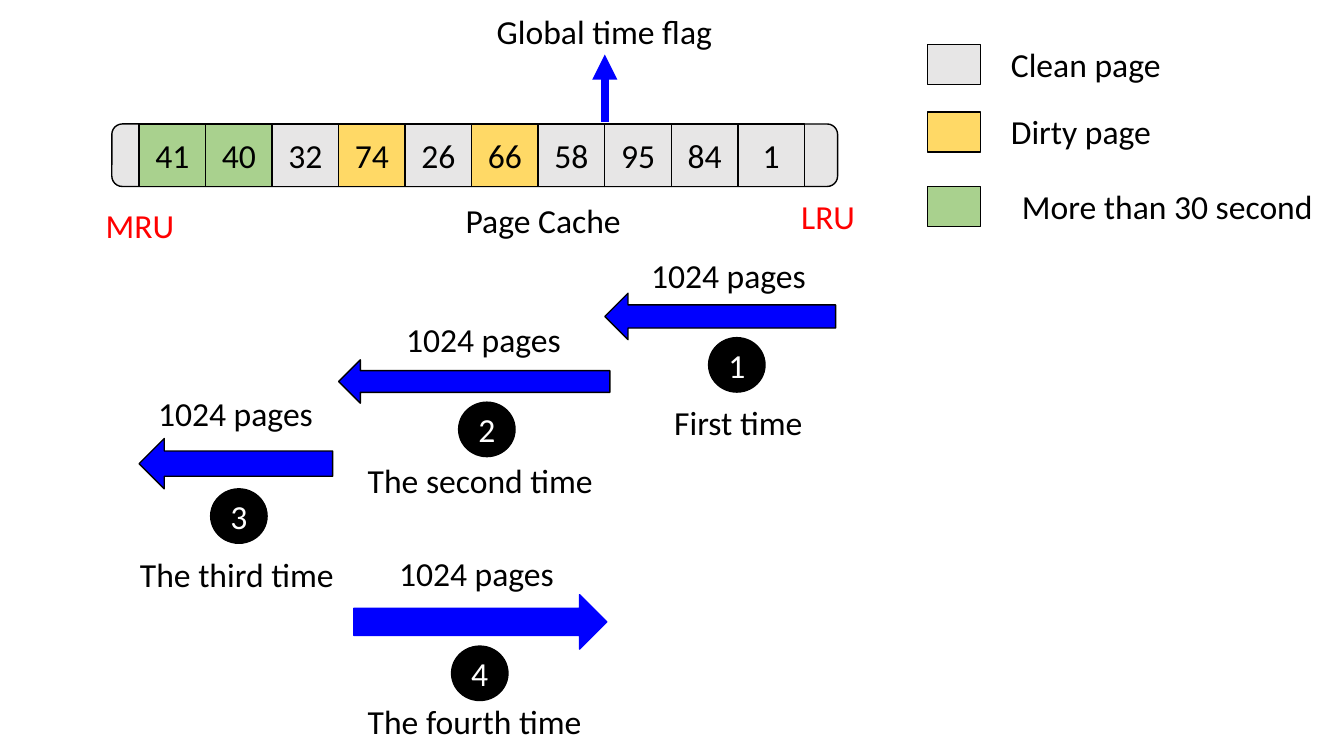
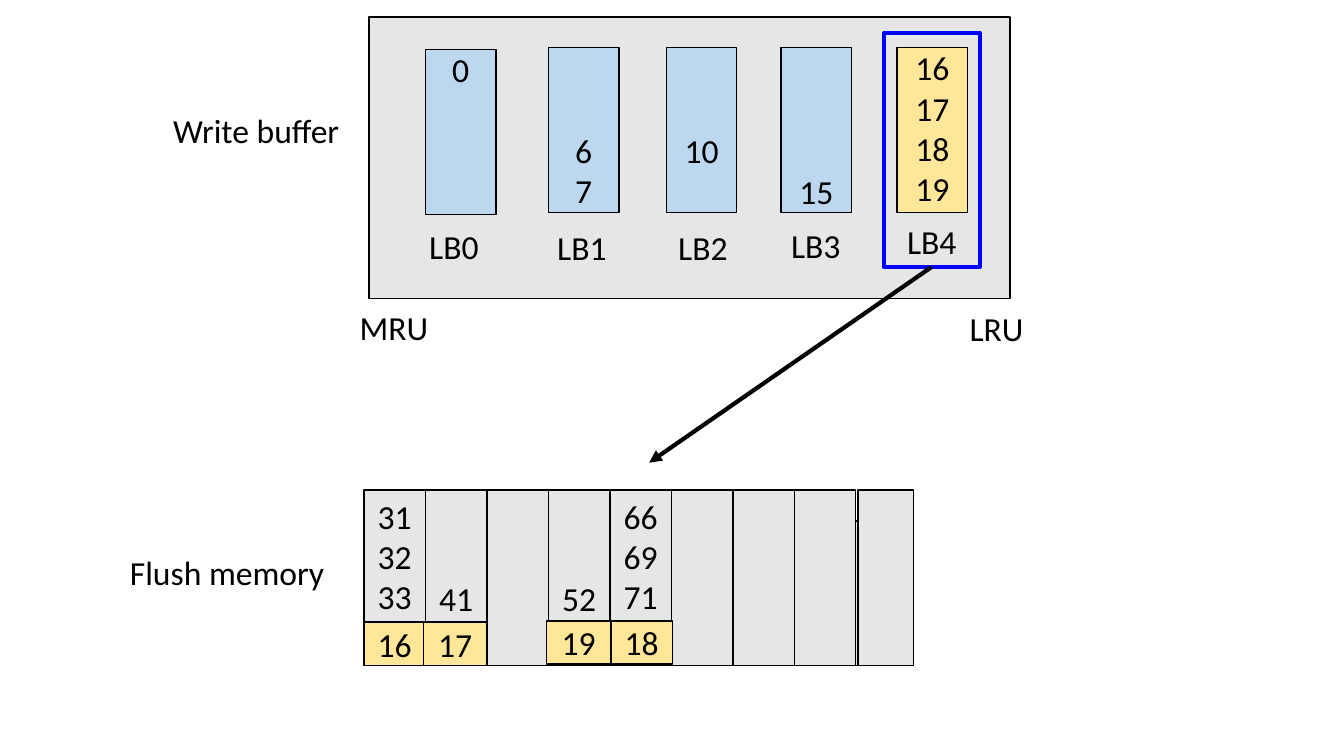
from lxml import etree
from pptx import Presentation
from pptx.dml import color
from pptx.enum import shapes, text
from pptx.oxml import ns
from pptx.util import Emu, Inches, Pt

# Shared grid: columns and rows of a tenth of an inch
UNIT = Inches(0.1)
COLUMNS, ROWS = 133.33, 75
LABEL_HEIGHT = 5
TEXT_ROW = 4.1

# Shared style
FONT, SIZE = "Calibri", Pt(24)
BLACK, WHITE, RED, BLUE = "000000", "FFFFFF", "FF0000", "0000FF"
CLEAN, DIRTY, OLD = "E7E6E6", "FFD966", "A9D18E"
BLOCK, VICTIM = "BDD7EE", "FFE699"
KIND = shapes.MSO_SHAPE


def grid(*lengths):
    return [Emu(round(length * UNIT)) for length in lengths]


def rgb(hex_value):
    return color.RGBColor.from_string(hex_value)


def write(frame, wording, ink, align):
    frame.text = wording
    frame.word_wrap = True
    for paragraph in frame.paragraphs:
        paragraph.alignment = align
        for run in paragraph.runs:
            run.font.name, run.font.size = FONT, SIZE
            run.font.color.rgb = rgb(ink)


def add_label(slide, wording, left, top, width, ink=BLACK):
    label = slide.shapes.add_textbox(*grid(left, top, width, LABEL_HEIGHT))
    write(label.text_frame, wording, ink, text.PP_ALIGN.LEFT)


def add_box(slide, box, fill, wording="", kind=KIND.RECTANGLE,
            line=BLACK, weight=1, ink=BLACK):
    shape = slide.shapes.add_shape(kind, *grid(*box))
    shape.shadow.inherit = False
    if fill:
        shape.fill.solid()
        shape.fill.fore_color.rgb = rgb(fill)
    else:
        shape.fill.background()
    shape.line.color.rgb = rgb(line)
    shape.line.width = Pt(weight)
    frame = shape.text_frame
    frame.margin_left = frame.margin_right = 0
    frame.margin_top = frame.margin_bottom = 0
    frame.vertical_anchor = text.MSO_ANCHOR.MIDDLE
    if wording:
        write(frame, wording, ink, text.PP_ALIGN.CENTER)
    return shape


def add_stack(slide, box, fill, pages, first_row, padding=0):
    """A tall block whose page numbers start at the given text row."""
    frame = add_box(slide, box, fill, pages).text_frame
    frame.vertical_anchor = text.MSO_ANCHOR.TOP
    frame.margin_top = grid(padding + first_row * TEXT_ROW)[0]


def add_arrow(slide, start, end, ink, weight):
    arrow = slide.shapes.add_connector(
        shapes.MSO_CONNECTOR.STRAIGHT, *grid(*start, *end))
    arrow.line.color.rgb = rgb(ink)
    arrow.line.width = Pt(weight)
    etree.SubElement(arrow.line._get_or_add_ln(), ns.qn("a:tailEnd"),
                     type="triangle")
    etree.SubElement(arrow._element.spPr, ns.qn("a:effectLst"))


def build_page_cache(slide):
    # Cache list with its numbered pages
    cell, height, first, top = 6.6, 6.2, 13.8, 12.3
    add_box(slide, (11.1, top, 72, height), CLEAN, kind=KIND.ROUNDED_RECTANGLE)
    fills = {"41": OLD, "40": OLD, "74": DIRTY, "66": DIRTY}
    for i, page in enumerate("41 40 32 74 26 66 58 95 84 1".split()):
        add_box(slide, (first + i * cell, top, cell, height),
                fills.get(page, CLEAN), page)
    add_label(slide, "Page Cache", 45.2, 19.3, 18.1)
    add_label(slide, "MRU", 9.5, 19.8, 10.9, RED)
    add_label(slide, "LRU", 78.5, 18.9, 8, RED)

    # Time flag
    flag = first + 7 * cell
    add_arrow(slide, (flag, 12.1), (flag, 5.4), BLUE, 6)
    add_label(slide, "Global time flag", 48.3, 0.6, 24.3)

    # Legend
    for fill, meaning, top, left, width in (
            (CLEAN, "Clean page", 4.4, 99.3, 17.5),
            (DIRTY, "Dirty page", 11.1, 99.3, 17.5),
            (OLD, "More than 30 second", 18.5, 100.4, 31.4)):
        add_box(slide, (92, top, 5.3, 4), fill)
        add_label(slide, meaning, left, top - 0.55, width)

    # Scans: arrow, badge corner, amount corner, caption and its corner
    scans = (
        ((60, 29.1, 22.9, 4.6), (70.3, 33.5), (63.6, 24.8),
         "First time", (65.9, 39.4)),
        ((33.6, 35.7, 26.9, 4.3), (45.5, 39.9), (39.3, 31.1),
         "The second time", (35.5, 45.1)),
        ((13.8, 43.5, 19.2, 5), (20.9, 48.5), (14.7, 38.5),
         "The third time", (12.9, 54.5)),
        ((35.1, 59, 25.1, 5.4), (44.8, 64.1), (38.6, 54.4),
         "The fourth time", (35.5, 69)),
    )
    for number, (arrow, badge, amount, caption, corner) in enumerate(scans, 1):
        backward = number < len(scans)
        add_box(slide, arrow, BLUE,
                kind=KIND.LEFT_ARROW if backward else KIND.RIGHT_ARROW,
                line=BLACK if backward else BLUE)
        add_box(slide, (*badge, 5.6, 5.4), BLACK, str(number),
                kind=KIND.OVAL, ink=WHITE)
        add_label(slide, "1024 pages", *amount, 18.1)
        add_label(slide, caption, *corner, 26.3)


def build_write_buffer(slide):
    # Buffer with its logical blocks
    add_box(slide, (36.6, 1.7, 63.6, 27.9), CLEAN)
    add_label(slide, "Write buffer", 16.2, 10.4, 20.6)
    blocks = (
        (42.2, 4.9, BLOCK, "0", 0, 41.6, 21.9),
        (54.4, 4.7, BLOCK, "6\n7", 2, 54.3, 22),
        (66.1, 4.7, BLOCK, "10", 2, 66.3, 22),
        (77.5, 4.7, BLOCK, "15", 3, 77.5, 21.8),
        (89, 4.7, VICTIM, "16\n17\n18\n19", 0, 89, 21.4),
    )
    for i, (left, top, fill, pages, row, name_left, name_top) in enumerate(blocks):
        add_stack(slide, (left, top, 7, 16.4), fill, pages, row)
        add_label(slide, f"LB{i}", name_left, name_top, 7)
    add_label(slide, "MRU", 34.7, 30, 9.6)
    add_label(slide, "LRU", 95.2, 30.1, 7.7)

    # Block chosen for flushing
    add_box(slide, (87.7, 3.3, 9.5, 23.2), None, line=BLUE, weight=3)
    add_arrow(slide, (92.4, 26.5), (64.4, 45.9), BLACK, 3)

    # Flash blocks, the last one narrower
    left, top, width, height = 36.1, 48.6, 6.1, 17.4
    add_label(slide, "Flush memory", 11.9, 54.3, 22.4)
    add_box(slide, (left, 51.7, 54.5, 14.3), CLEAN)
    stored = {0: ("31\n32\n33", 0), 1: ("41", 2),
              3: ("52", 2), 4: ("66\n69\n71", 0)}
    for i in range(8):
        add_stack(slide, (left + i * width, top, width, height), CLEAN,
                  *stored.get(i, ("", 0)), padding=0.55)
    add_box(slide, (85.1, top, 5.5, height), CLEAN)

    # Newly flushed pages
    for page, page_left, page_top, page_width in (
            ("16", 36.1, 61.7, 6.1), ("17", 42, 61.7, 6.3),
            ("18", 60.6, 61.6, 6.1), ("19", 54.2, 61.6, 6.4)):
        add_box(slide, (page_left, page_top, page_width, 4.3), VICTIM, page)


def main():
    deck = Presentation()
    deck.slide_width, deck.slide_height = grid(COLUMNS, ROWS)
    for build in (build_page_cache, build_write_buffer):
        build(deck.slides.add_slide(deck.slide_layouts[6]))
    deck.save("out.pptx")


if __name__ == "__main__":
    main()
